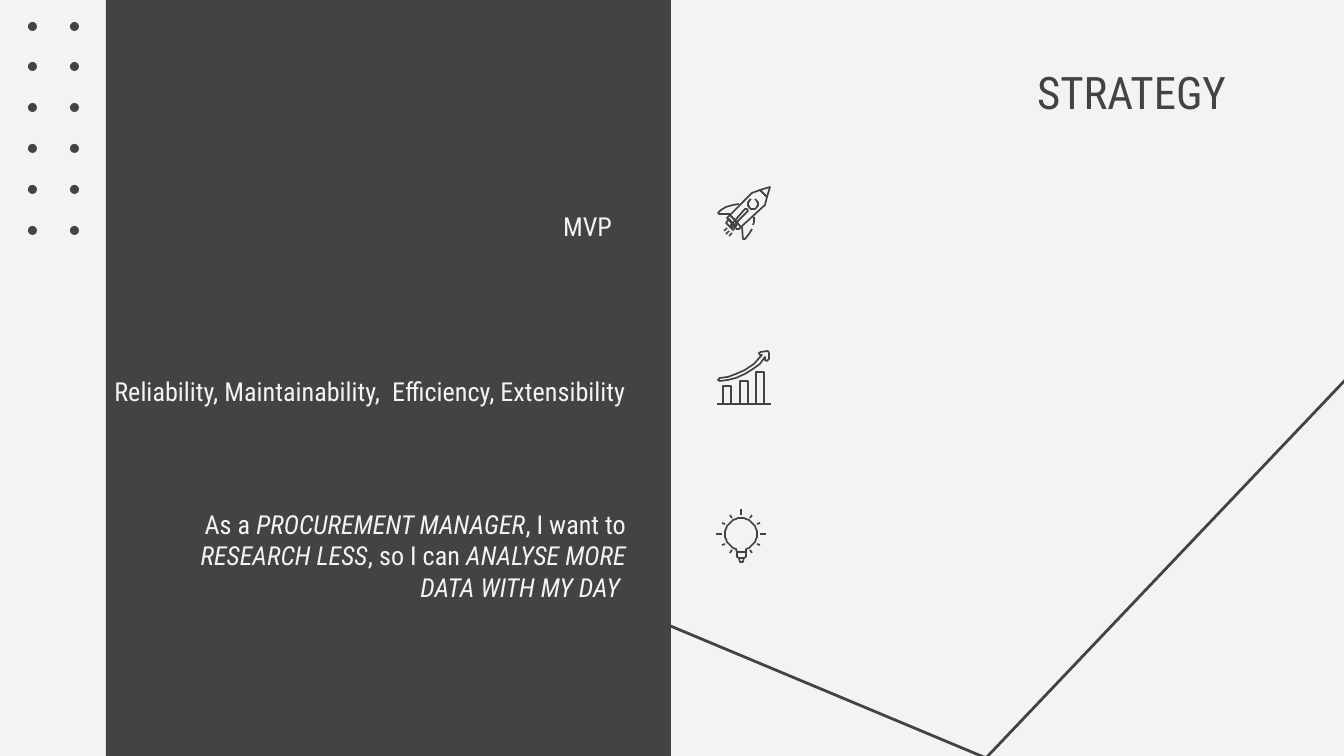
from math import cos, radians, sin

from pptx import Presentation
from pptx.dml.color import RGBColor
from pptx.enum.shapes import MSO_SHAPE
from pptx.enum.text import MSO_ANCHOR, PP_ALIGN
from pptx.util import Emu, Pt

SCALE = 914400 / 134.4
COLORS = {"dark": "434343", "light": "F3F3F3"}
FONT = "Roboto Condensed"
ICON_LINE = 0.9

ROCKET_OUTLINES = [
    [(770, 187), (767, 197), (760, 190)],
    [(760, 190), (752, 193), (730, 215), (741, 227), (765, 205), (767, 197)],
    [(745, 209), (747, 209), (748, 211), (736, 223), (733, 227), (731, 227), (731, 225)],
    [(730, 215), (727, 218), (735, 227), (738, 223)],
    [(729, 219), (726, 223), (733, 230), (736, 227)],
]
ROCKET_STROKES = [
    [(739, 204), (733, 205), (726, 207), (721, 210), (718, 213), (719, 214), (730, 214)],
    [(742, 227), (743, 239), (745, 239), (749, 234), (752, 229)],
    [(753, 225), (754, 222), (754, 217)],
    [(736, 229), (739, 229), (741, 227)],
    [(727, 228), (724, 231)],
    [(729, 231), (726, 234)],
    [(732, 233), (729, 236)],
]
GROWTH_ARROW = [
    (720, 378), (728, 377), (736, 374), (745, 370), (754, 364), (762, 355),
    (760, 355), (759, 353), (761, 352), (768, 351), (769, 353), (769, 359),
    (767, 361), (765, 360), (765, 357), (760, 364), (753, 369), (745, 374),
    (736, 378), (728, 380), (720, 381), (718, 380),
]
GROWTH_BARS = [(723, 386), (740, 381), (756, 372)]
BULB_CENTER = (741, 534)


def px(value):
    return Emu(round(value * SCALE))


def color(name):
    return RGBColor.from_string(COLORS[name])


def add_filled(page, kind, left, top, width, height):
    shape = page.shapes.add_shape(kind, px(left), px(top), px(width), px(height))
    shape.shadow.inherit = False
    shape.fill.solid()
    shape.fill.fore_color.rgb = color("dark")
    shape.line.fill.background()


def add_stroke(page, points, closed=False, width=ICON_LINE):
    builder = page.shapes.build_freeform(*points[0], scale=SCALE)
    builder.add_line_segments(points[1:], close=closed)
    shape = builder.convert_to_shape()
    shape.shadow.inherit = False
    shape.fill.background()
    shape.line.color.rgb = color("dark")
    shape.line.width = Pt(width)


def polar(center, radius, angle):
    x, y = center
    return x + radius * cos(radians(angle)), y + radius * sin(radians(angle))


def arc(center, radius, start, end):
    return [polar(center, radius, angle) for angle in range(start, end + 1, 10)]


def add_text(page, spans, left, top, width, height, size=14, ink="light",
             anchor=MSO_ANCHOR.MIDDLE, inset_top=27, inset_bottom=0):
    box = page.shapes.add_textbox(px(left), px(top), px(width), px(height))
    frame = box.text_frame
    frame.word_wrap = True
    frame.vertical_anchor = anchor
    frame.margin_left = frame.margin_right = px(13)
    frame.margin_top, frame.margin_bottom = px(inset_top), px(inset_bottom)
    para = frame.paragraphs[0]
    para.alignment = PP_ALIGN.RIGHT
    for text, italic in spans:
        span = para.add_run()
        span.text = text
        span.font.name = FONT
        span.font.size = Pt(size)
        span.font.italic = italic
        span.font.color.rgb = color(ink)


def add_dots(page):
    for row in range(6):
        for left in (28, 70):
            add_filled(page, MSO_SHAPE.OVAL, left, 22 + 204 * row // 5, 9, 9)


def add_rocket(page):
    for outline in ROCKET_OUTLINES:
        add_stroke(page, outline, closed=True)
    for stroke in ROCKET_STROKES:
        add_stroke(page, stroke)
    add_stroke(page, arc((753, 204), 5, -70, 250))


def add_growth(page):
    add_stroke(page, GROWTH_ARROW, closed=True)
    add_stroke(page, [(717, 404), (771, 404)])
    for left, top in GROWTH_BARS:
        add_stroke(page, [(left, 404), (left, top), (left + 8, top), (left + 8, 404)])


def add_bulb(page):
    neck_left, neck_right = (737, 552), (746, 552)
    add_stroke(page, [neck_left] + arc(BULB_CENTER, 16, 110, 430) + [neck_right])
    add_stroke(page, [neck_left, (737, 557), (739, 558), (744, 558), (746, 557), neck_right],
               closed=True)
    add_stroke(page, [(739, 558), (740, 562), (743, 562), (744, 558)])
    for angle in range(120, 421, 30):
        reach = 25 if angle % 90 == 0 else 22
        add_stroke(page, [polar(BULB_CENTER, radius, angle) for radius in (19, reach)])


def main():
    deck = Presentation()
    deck.slide_width, deck.slide_height = px(1344), px(756)
    page = deck.slides.add_slide(deck.slide_layouts[6])
    page.background.fill.solid()
    page.background.fill.fore_color.rgb = color("light")

    add_stroke(page, [(142, 405), (986, 758), (1349, 376)], width=1.5)
    add_filled(page, MSO_SHAPE.RECTANGLE, 106, 0, 565, 756)
    add_dots(page)

    story = [("As a ", False), ("PROCUREMENT MANAGER", True), (", I want to ", False),
             ("RESEARCH LESS", True), (", so I can ", False),
             ("ANALYSE MORE DATA WITH MY DAY ", True)]
    qualities = [("Reliability, Maintainability,  Efficiency, Extensibility", False)]
    add_text(page, story, 173, 485, 466, 114)
    add_text(page, qualities, 69, 321, 570, 114)
    add_text(page, [("MVP", False)], 159, 156, 466, 114)

    add_rocket(page)
    add_growth(page)
    add_bulb(page)
    add_text(page, [("STRATEGY", False)], 871, 52, 368, 196, size=24, ink="dark",
             anchor=MSO_ANCHOR.TOP, inset_top=13, inset_bottom=13)
    deck.save("out.pptx")


if __name__ == "__main__":
    main()
